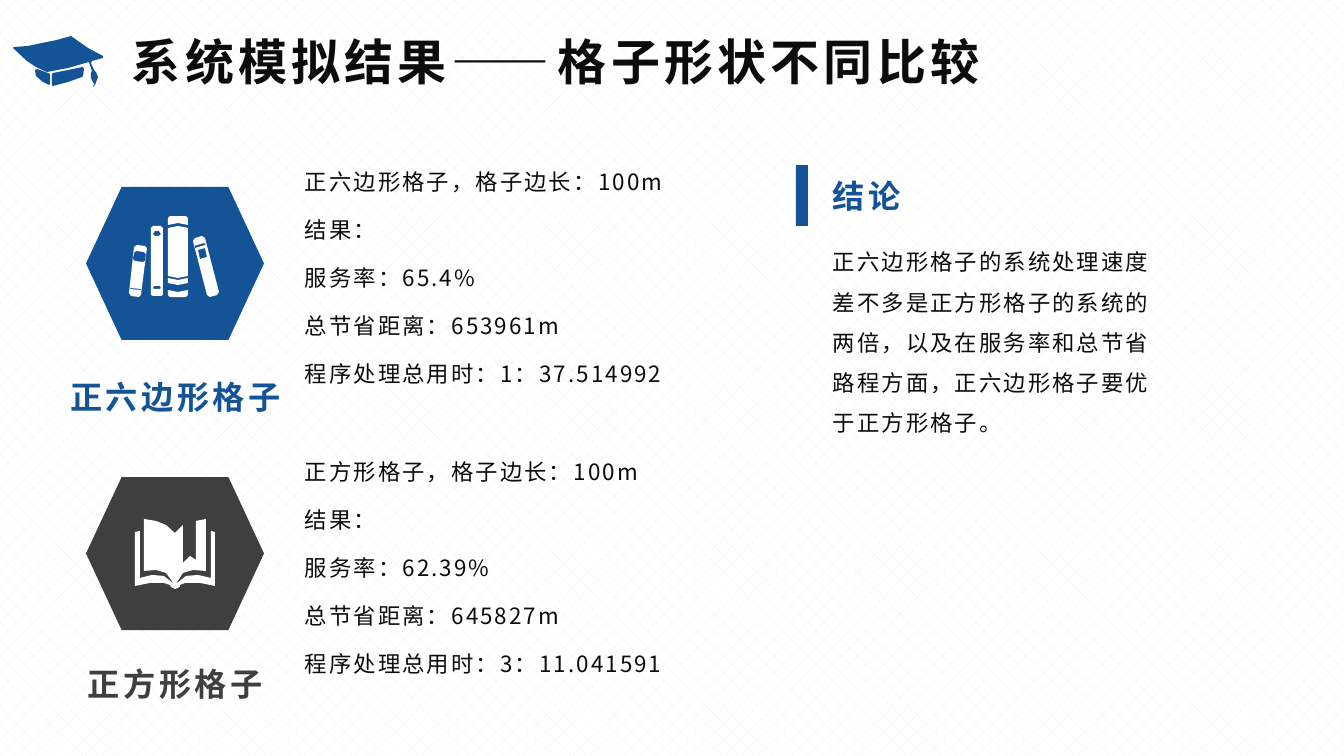
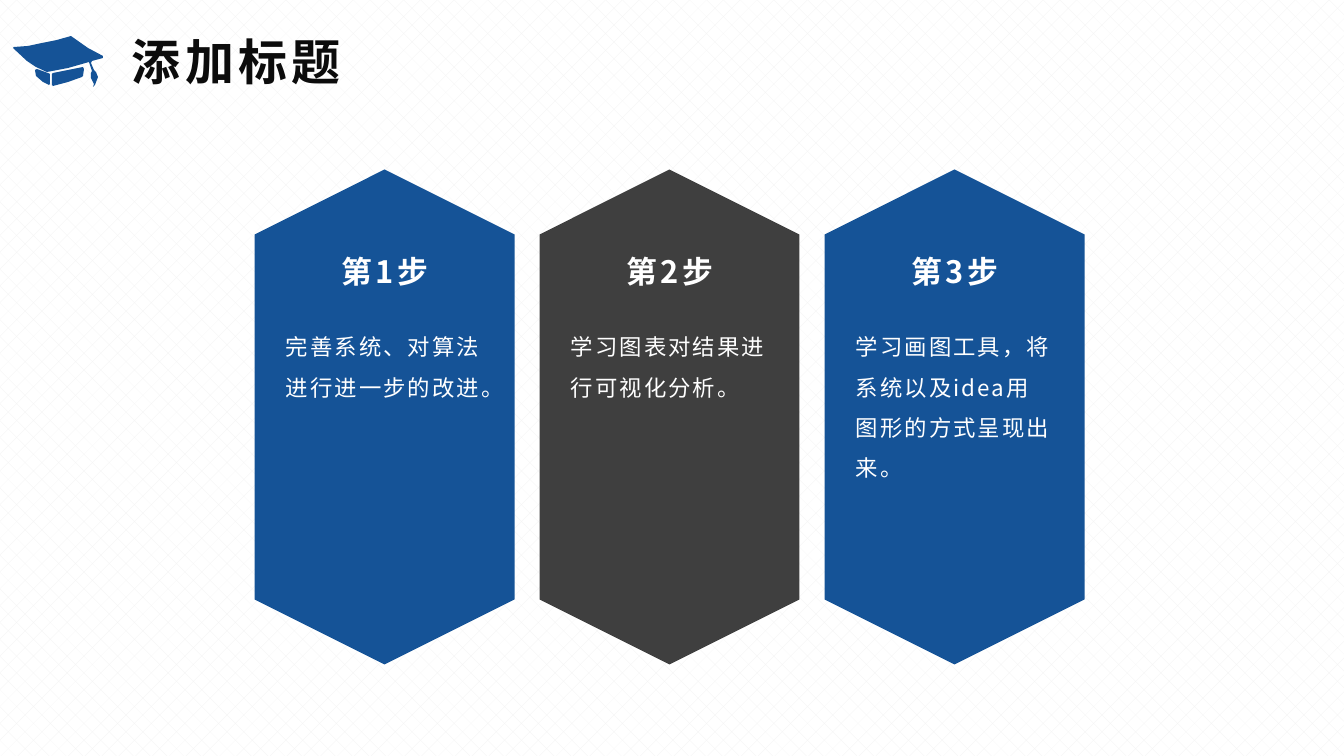
from lxml.etree import SubElement
from pptx import Presentation
from pptx.dml.color import RGBColor
from pptx.enum.dml import MSO_PATTERN
from pptx.enum.shapes import MSO_SHAPE as SHAPE
from pptx.enum.text import MSO_ANCHOR as ANCHOR, MSO_AUTO_SIZE as AUTO_SIZE, PP_ALIGN as ALIGN
from pptx.oxml.ns import qn
from pptx.util import Pt

PX = 914400 / 100.8
FONT = "Noto Sans CJK SC"
BLUE, GRAY, INK, WHITE = "155397", "3F3F3F", "0C0C0C", "FFFFFF"
TITLE = dict(size=35, bold=True, spacing=3)
HEADING = dict(size=23, bold=True, spacing=2.5, wrap=False)

# Outlines: each is a list of closed contours in slide px; inner contours are holes.
GRADUATION_CAP = [
    [(50, 84), (50, 74), (48, 73), (37, 69), (35, 70), (36, 76), (43, 82), (49, 85)],
    [(94, 70), (96, 72), (98, 77), (95, 85), (93, 87), (94, 84), (91, 78), (91, 73),
     (92, 71), (89, 62), (68, 68), (47, 72), (36, 67), (27, 61), (13, 48), (14, 47),
     (28, 46), (42, 43), (57, 40), (71, 36), (88, 48), (103, 56), (103, 58), (92, 61),
     (91, 63)],
    [(83, 67), (84, 69), (83, 76), (82, 77), (68, 82), (53, 86), (52, 85), (52, 74),
     (53, 73), (68, 70)],
]
BOOK_ROW = [
    [(137, 245), (145, 246), (147, 248), (141, 295), (139, 297), (131, 296), (129, 293),
     (134, 247)],
    [(136, 251), (144, 252), (146, 254), (145, 261), (143, 262), (135, 261), (133, 259),
     (134, 253)],
    [(130, 288), (141, 289), (141, 290), (130, 289)],
    [(153, 226), (161, 226), (163, 228), (163, 295), (161, 296), (153, 296), (151, 295),
     (151, 228)],
    [(155, 231), (159, 231), (161, 234), (159, 236), (155, 236), (153, 234)],
    [(154, 286), (160, 286), (161, 288), (160, 289), (154, 289), (153, 288)],
    [(170, 216), (186, 216), (188, 218), (188, 225), (178, 223), (168, 225), (168, 218)],
    [(168, 228), (178, 226), (188, 228), (188, 276), (178, 278), (168, 276)],
    [(168, 278), (178, 280), (188, 278), (188, 283), (178, 285), (168, 283)],
    [(168, 290), (178, 292), (188, 290), (188, 295), (186, 297), (170, 297), (168, 295)],
    [(195, 238), (202, 236), (205, 238), (219, 292), (217, 295), (210, 297), (207, 295),
     (193, 241)],
    [(194, 246), (204, 243), (206, 244), (205, 245), (195, 248), (194, 247)],
    [(198, 250), (205, 248), (207, 257), (200, 259)],
]
OPEN_BOOK = [
    [(170, 585), (171, 587), (175, 589), (180, 587), (180, 585), (185, 583), (200, 583),
     (215, 586), (215, 532), (211, 531), (211, 578), (198, 575), (186, 576), (176, 584),
     (183, 573), (193, 570), (206, 571), (206, 519), (196, 521), (196, 560), (190, 556),
     (183, 563), (183, 525), (175, 533), (166, 525), (156, 521), (144, 519), (144, 571),
     (156, 570), (166, 573), (174, 584), (164, 576), (152, 575), (140, 578), (140, 531),
     (135, 532), (135, 586), (150, 583), (164, 583)],
]


def rgb(value):
    return RGBColor.from_string(value)


def add_text(slide, box, lines, size=16, color=INK, bold=False, spacing=1.5, align=ALIGN.LEFT,
             anchor=ANCHOR.TOP, wrap=True, line_spacing=1.0, space_after=0):
    """Add a text box at box (left, top, width, height in px), one paragraph per line."""
    frame = slide.shapes.add_textbox(*(round(v * PX) for v in box)).text_frame
    frame.word_wrap = wrap
    frame.auto_size = AUTO_SIZE.SHAPE_TO_FIT_TEXT
    frame.vertical_anchor = anchor
    for index, line in enumerate(lines):
        paragraph = frame.add_paragraph() if index else frame.paragraphs[0]
        paragraph.alignment = align
        paragraph.line_spacing = line_spacing
        paragraph.space_after = Pt(space_after)
        run = paragraph.add_run()
        run.text = line
        run.font.name = FONT
        run.font.size = Pt(size)
        run.font.bold = bold
        run.font.color.rgb = rgb(color)
        properties = run._r.get_or_add_rPr()
        properties.set("spc", str(round(spacing * 100)))
        SubElement(properties, qn("a:ea"), typeface=FONT)


def add_figure(slide, figure, color, box=None):
    """Add a preset shape in box, or a freeform when figure is a list of contours."""
    if box:
        shape = slide.shapes.add_shape(figure, *(round(v * PX) for v in box))
    else:
        builder = slide.shapes.build_freeform(*figure[0][0], scale=PX)
        for index, contour in enumerate(figure):
            if index:
                builder.move_to(*contour[0])
            builder.add_line_segments(contour[1:], close=True)
        shape = builder.convert_to_shape()
    shape.shadow.inherit = False
    shape.fill.solid()
    shape.fill.fore_color.rgb = rgb(color)
    shape.line.fill.background()
    return shape


presentation = Presentation()
presentation.slide_width = round(1344 * PX)
presentation.slide_height = round(756 * PX)

background = presentation.slide_master.background.fill
background.patterned()
background.pattern = MSO_PATTERN.DIAGONAL_BRICK
background.fore_color.rgb = rgb("F2F2F2")
background.back_color.rgb = rgb(WHITE)

slides = []
for title in ["系统模拟结果——格子形状不同比较", "添加标题"]:
    slide = presentation.slides.add_slide(presentation.slide_layouts[6])
    add_figure(slide, GRADUATION_CAP, BLUE)
    add_text(slide, (122, 27, 963, 70), [title], **TITLE)
    slides.append(slide)
comparison, next_steps = slides

# Slide 1: results for the two grid shapes, then the conclusion
grids = [
    ("正六边形格子", BLUE, BOOK_ROW, 372, "65.4%", "653961m", "1：37.514992"),
    ("正方形格子", GRAY, OPEN_BOOK, 659, "62.39%", "645827m", "3：11.041591"),
]
for row, (name, color, icon, name_top, rate, saved, time) in enumerate(grids):
    offset = row * 290
    add_figure(comparison, SHAPE.FLOWCHART_PREPARATION, color, (86, 187 + offset, 178, 153))
    add_figure(comparison, icon, WHITE)
    add_text(comparison, (58, name_top, 235, 49), [name], color=color, align=ALIGN.CENTER,
             **HEADING)
    results = [f"{name}，格子边长：100m", "结果：", f"服务率：{rate}",
               f"总节省距离：{saved}", f"程序处理总用时：{time}"]
    add_text(comparison, (295, 162 + offset, 419, 231), results, anchor=ANCHOR.MIDDLE,
             space_after=15)

add_figure(comparison, SHAPE.RECTANGLE, BLUE, (796, 165, 12, 61))
add_text(comparison, (823, 171, 92, 49), ["结论"], color=BLUE, **HEADING)
add_text(comparison, (823, 230, 361, 214),
         ["正六边形格子的系统处理速度差不多是正方形格子的系统的两倍，"
          "以及在服务率和总节省路程方面，正六边形格子要优于正方形格子。"], line_spacing=1.5)

# Slide 2: three upright hexagons
steps = [
    ("完善系统、对算法进行进一步的改进。", BLUE),
    ("学习图表对结果进行可视化分析。", GRAY),
    ("学习画图工具，将系统以及idea用图形的方式呈现出来。", BLUE),
]
for column, (task, color) in enumerate(steps):
    offset = column * 285
    hexagon = add_figure(next_steps, SHAPE.HEXAGON, color, (137 + offset, 287, 495, 260))
    hexagon.rotation = 90
    add_text(next_steps, (328 + offset, 248, 113, 47), [f"第{column + 1}步"], size=22,
             color=WHITE, bold=True, spacing=2.5, align=ALIGN.CENTER)
    add_text(next_steps, (276 + offset, 315, 218, 92), [task], color=WHITE, line_spacing=1.5,
             space_after=15)

presentation.save("out.pptx")
